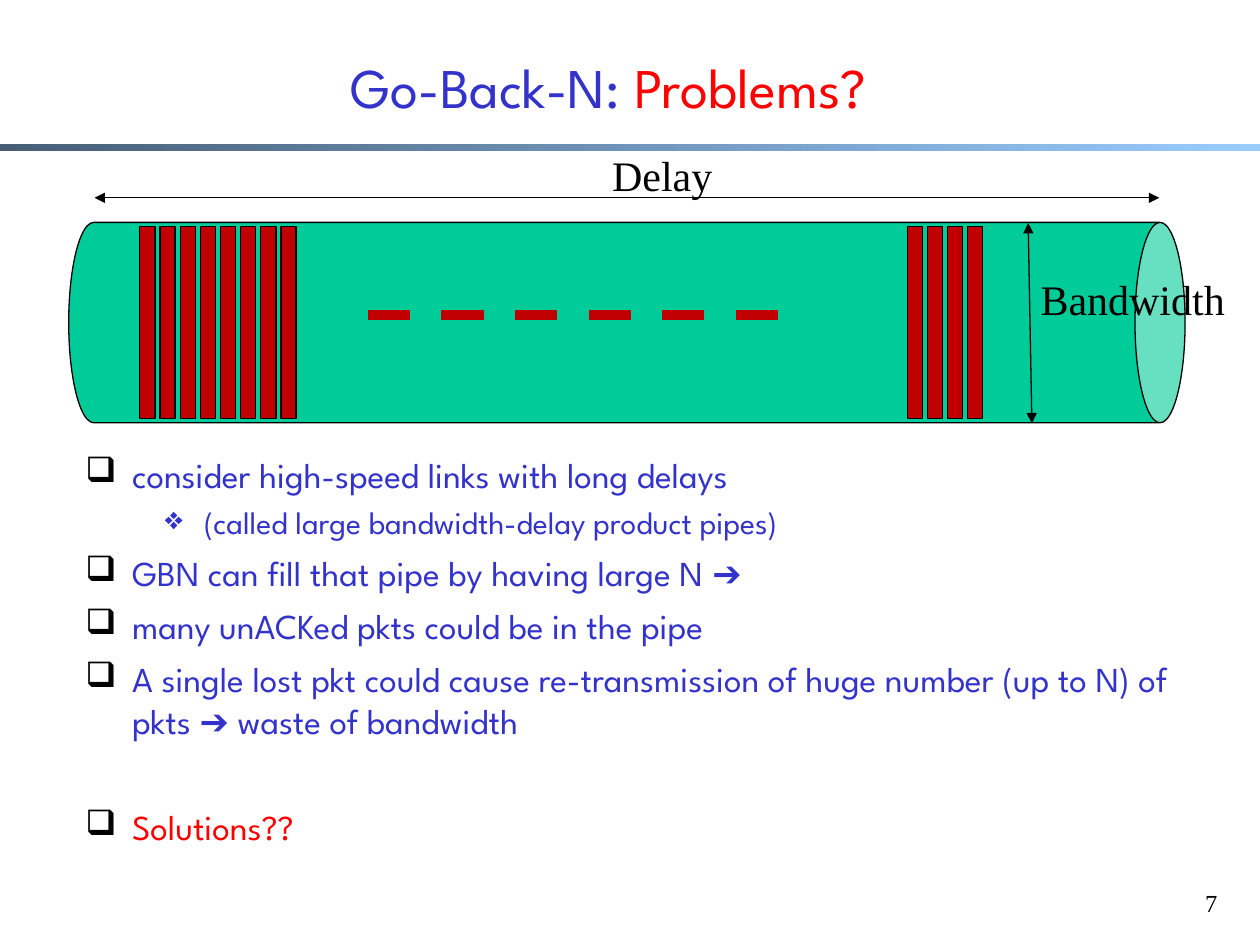
from dataclasses import dataclass
from lxml.etree import SubElement
from pptx import Presentation
from pptx.dml.color import RGBColor
from pptx.enum.dml import MSO_LINE
from pptx.enum.shapes import MSO_CONNECTOR as CONN, MSO_SHAPE as SHAPE
from pptx.enum.text import MSO_ANCHOR as ANCHOR, PP_ALIGN as ALIGN
from pptx.oxml.ns import qn
from pptx.util import Inches, Pt


@dataclass(frozen=True)
class Theme:
    black: str = "000000"
    blue: str = "3333CC"
    red: str = "FF0000"
    packet: str = "C00000"
    pipe: str = "00CC99"
    bar_dark: str = "475E76"
    bar_light: str = "99CCFF"
    sans: str = "League Spartan"
    serif: str = "Times New Roman"
    title: int = 32
    label: int = 24
    body: int = 20
    sub: int = 18
    number: int = 14


T = Theme()


def rgb(value):
    return RGBColor.from_string(value)


def add_text(p, text, size=T.body, color=T.blue, font=T.sans):
    r = p.add_run()
    r.text = text
    r.font.size, r.font.name = Pt(size), font
    r.font.color.rgb = rgb(color)


class SlideBuilder:
    def __init__(self, slide):
        self.shapes = slide.shapes

    def box(self, x, y, w, h, wrap=True, anchor=ANCHOR.TOP, align=ALIGN.LEFT):
        tf = self.shapes.add_textbox(*map(Inches, (x, y, w, h))).text_frame
        tf.word_wrap, tf.vertical_anchor = wrap, anchor
        tf.paragraphs[0].alignment = align
        return tf

    def shape(self, kind, x, y, w, h, fill, rotation=0):
        sp = self.shapes.add_shape(kind, *map(Inches, (x, y, w, h)))
        sp.shadow.inherit = False
        sp.rotation = rotation
        sp.fill.solid()
        sp.fill.fore_color.rgb = rgb(fill)
        sp.line.color.rgb = rgb(T.black)
        sp.line.width = Pt(0.75)
        return sp

    def gradient_bar(self, x, y, w, h, colors):
        sp = self.shape(SHAPE.RECTANGLE, x, y, w, h, colors[0])
        sp.line.fill.background()
        sp.fill.gradient()
        sp.fill.gradient_angle = 0
        for stop, color in zip(sp.fill.gradient_stops, colors):
            stop.color.rgb = rgb(color)

    def line(self, x1, y1, x2, y2, color=T.black, width=0.75, arrows=False, dash=None):
        cn = self.shapes.add_connector(CONN.STRAIGHT, *map(Inches, (x1, y1, x2, y2)))
        cn.line.color.rgb = rgb(color)
        cn.line.width = Pt(width)
        if dash:
            cn.line.dash_style = dash
        if arrows:
            for end in ("a:headEnd", "a:tailEnd"):
                SubElement(cn.line._get_or_add_ln(), qn(end), type="triangle")
        SubElement(cn._element.spPr, qn("a:effectLst"))

    def bullet(self, p, char, color, margin, hang):
        pPr = p._p.get_or_add_pPr()
        pPr.set("marL", str(Inches(margin)))
        pPr.set("indent", str(-Inches(hang)))
        SubElement(SubElement(pPr, qn("a:buClr")), qn("a:srgbClr"), val=color)
        SubElement(pPr, qn("a:buChar"), char=char)


prs = Presentation()
prs.slide_width, prs.slide_height = Inches(10), Inches(7.5)
s = SlideBuilder(prs.slides.add_slide(prs.slide_layouts[6]))

# Rule, page number and title
s.gradient_bar(0, 1.14, 10, 0.06, (T.bar_dark, T.bar_light))
number = s.box(9.08, 7, 0.68, 0.5, align=ALIGN.RIGHT)
add_text(number.paragraphs[0], "7", T.number, T.black, T.serif)
title = s.box(0.58, 0.15, 8.5, 1.06, anchor=ANCHOR.MIDDLE, align=ALIGN.CENTER)
add_text(title.paragraphs[0], "Go-Back-N: ", T.title)
add_text(title.paragraphs[0], "Problems?", T.title, T.red)

# Bullets: text, level, colour, space before
bullets = [
    ("consider high-speed links with long delays", 0, T.blue, 6.3),
    ("(called large bandwidth-delay product pipes)", 1, T.blue, 4.3),
    ("GBN can fill that pipe by having large N ➔", 0, T.blue, 6.3),
    ("many unACKed pkts could be in the pipe", 0, T.blue, 6.3),
    ("A single lost pkt could cause re-transmission of huge number (up to N) of "
     "pkts ➔ waste of bandwidth", 0, T.blue, 6.3),
    ("Solutions??", 0, T.red, 36.5),
]
levels = [("❑", T.black, 0.37, 0.37, T.body), ("❖", T.blue, 0.94, 0.31, T.sub)]
tf = s.box(0.58, 3.55, 9.05, 3.28)
for i, (text, level, color, space) in enumerate(bullets):
    p = tf.add_paragraph() if i else tf.paragraphs[0]
    *marker, size = levels[level]
    p.level, p.space_before = level, Pt(space)
    s.bullet(p, *marker)
    add_text(p, text, size, color)

# Pipe with its two dimensions
s.shape(SHAPE.CAN, 4.18, -1.87, 1.59, 8.86, T.pipe, rotation=90)
s.line(0.75, 1.57, 9.2, 1.57, arrows=True)
s.line(8.16, 1.77, 8.19, 3.36, arrows=True)
for text, x, y, w in (("Delay", 4.76, 1.14, 1), ("Bandwidth", 8.16, 2.12, 1.68)):
    label = s.box(x, y, w, 0.5, wrap=False)
    add_text(label.paragraphs[0], text, T.label, T.black, T.serif)

# Packets in flight
for start, count in ((1.11, 8), (7.2, 4)):
    for i in range(count):
        s.shape(SHAPE.RECTANGLE, start + 0.16 * i, 1.8, 0.12, 1.52, T.packet)
s.line(2.92, 2.5, 6.38, 2.5, T.packet, 6, dash=MSO_LINE.DASH)

prs.save("out.pptx")
